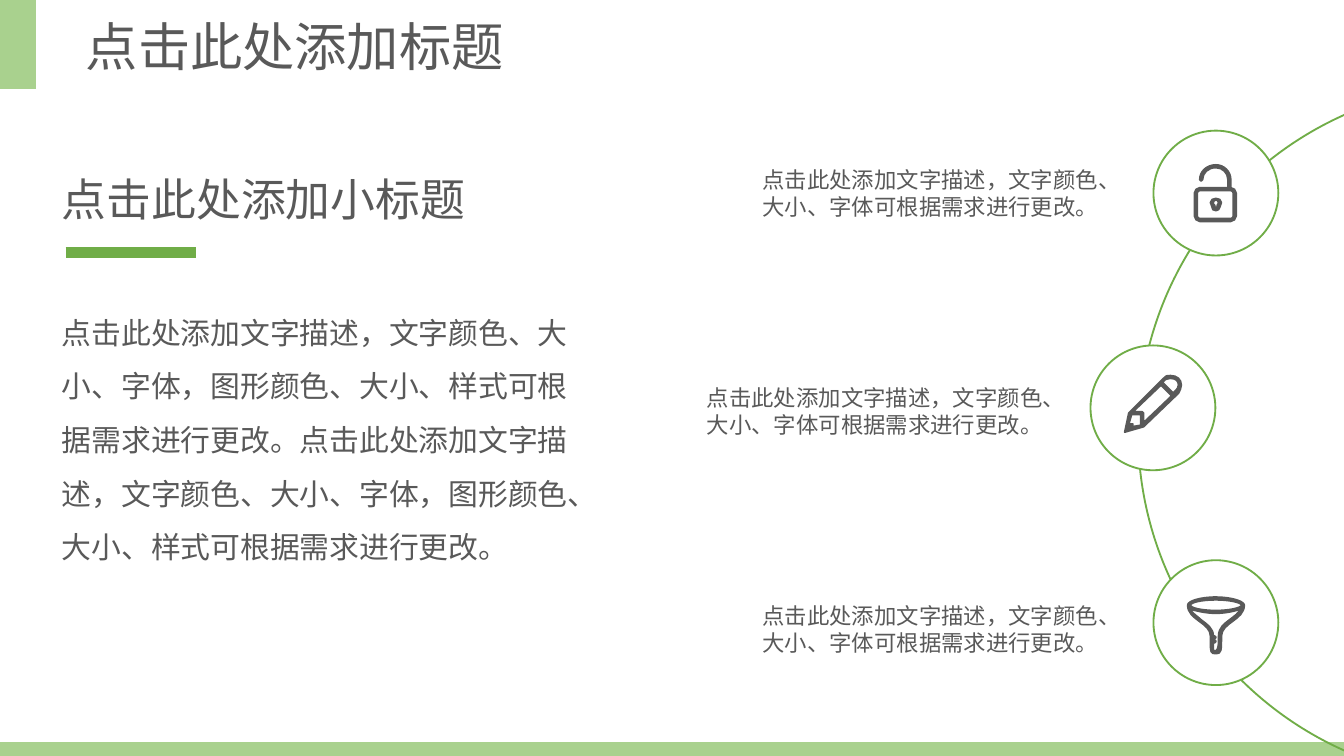
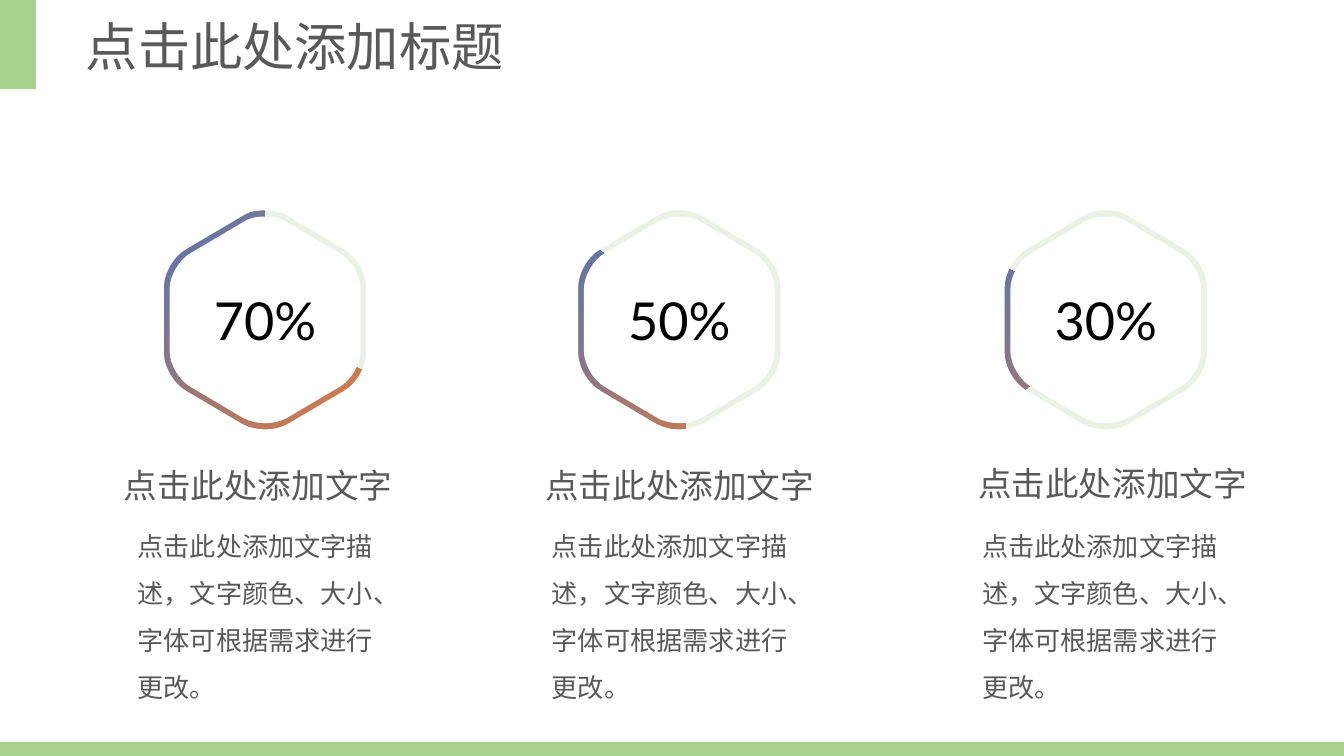
from lxml import etree
from pptx import Presentation
from pptx.dml.color import RGBColor
from pptx.enum.shapes import MSO_CONNECTOR, MSO_SHAPE
from pptx.enum.text import MSO_ANCHOR, MSO_AUTO_SIZE, PP_ALIGN
from pptx.oxml.ns import qn
from pptx.util import Cm, Pt

RECTANGLE, OVAL, PIE = MSO_SHAPE.RECTANGLE, MSO_SHAPE.OVAL, MSO_SHAPE.PIE
STRAIGHT = MSO_CONNECTOR.STRAIGHT
LEFT, CENTER = PP_ALIGN.LEFT, PP_ALIGN.CENTER
TOP, NO_AUTOFIT = MSO_ANCHOR.TOP, MSO_AUTO_SIZE.NONE

COLORS = {
    "band": "A9D18E", "green": "70AD47", "text": "595959", "white": "FFFFFF",
    "black": "000000", "blue": "4472C4", "orange": "ED7D31",
}
CJK_FONT = "Noto Sans CJK SC"
WIDTH, HEIGHT = 25.4, 14.29
TITLE_ONLY = 5
UNIT = Cm(0.0254)  # one step of the outline grids below

TITLE = "点击此处添加标题"
DESCRIPTION = "点击此处添加文字描述，文字颜色、大小、字体可根据需求进行更改。"
PARAGRAPH = "点击此处添加文字描述，文字颜色、大小、字体，图形颜色、大小、样式可根据需求进行更改。"

# Contours around a centre: a pair is a line end, six numbers are a cubic curve.
LOCK = [
    [(1, 9), (1, 10), (1, 11, 0, 11, 0, 11), (-1, 11, -1, 11, -1, 10), (-1, 9),
     (-2, 9, -2, 8, -2, 7), (-2, 6, -1, 5, 0, 5), (1, 5, 2, 6, 2, 7), (2, 8, 1, 9, 1, 9)],
    [(0, 4), (-2, 4, -4, 5, -4, 7), (-4, 8, -4, 9, -3, 10), (-3, 12, -2, 13, 0, 13),
     (1, 13, 3, 12, 3, 10), (4, 9, 4, 8, 4, 7), (4, 5, 2, 4, 0, 4)],
    [(13, 17), (13, 18, 12, 19, 11, 19), (-12, 19), (-13, 19, -14, 18, -14, 17),
     (-14, 0), (-14, -1, -13, -2, -12, -2), (11, -2), (12, -2, 13, -1, 13, 0)],
    [(11, -4), (11, -10), (11, -16, 6, -21, 0, -21), (-7, -21, -12, -16, -12, -10),
     (-12, -9, -11, -9, -11, -9), (-10, -9, -10, -9, -10, -10), (-10, -15, -6, -19, 0, -19),
     (5, -19, 9, -15, 9, -10), (9, -4), (-12, -4), (-14, -4, -16, -2, -16, 0), (-16, 17),
     (-16, 19, -14, 21, -12, 21), (11, 21), (13, 21, 15, 19, 15, 17), (15, 0),
     (15, -2, 13, -4, 11, -4)],
]
PENCIL = [
    [(17, -13), (15, -11), (7, -19), (9, -21), (9, -21, 11, -22, 13, -22),
     (17, -22, 19, -20, 19, -17), (19, -15, 18, -14, 17, -13)],
    [(-7, 11), (-7, 4), (-7, 4, -7, 3, -8, 3), (-15, 3), (6, -17), (14, -9)],
    [(-9, 13), (-15, 14), (-15, 12), (-18, 12), (-16, 5), (-9, 5)],
    [(13, -24), (11, -24, 9, -24, 8, -22), (-18, 4), (-21, 18), (-7, 14), (19, -11),
     (20, -13, 21, -15, 21, -17), (21, -21, 18, -24, 13, -24)],
]
FUNNEL = [
    [(0, -9), (-11, -9, -19, -11, -19, -13), (-19, -15, -11, -17, 0, -17),
     (10, -17, 19, -15, 19, -13), (19, -11, 10, -9, 0, -9)],
    [(10, -2), (6, 1, 2, 4, 2, 10), (2, 15, 2, 18, 1, 20), (1, 21, 1, 21, 0, 21),
     (-2, 21, -2, 21, -2, 20), (-2, 19, -2, 18, -2, 15), (-1, 15), (-1, 15, 0, 15, 0, 14),
     (0, 14, -1, 13, -1, 13), (-2, 13), (-2, 12), (-1, 12), (-1, 12, 0, 11, 0, 11),
     (0, 10, -1, 10, -1, 10), (-2, 10), (-2, 4, -7, 1, -11, -2), (-14, -5, -18, -7, -19, -10),
     (-15, -9, -8, -7, 0, -7), (8, -7, 15, -9, 18, -10), (17, -7, 14, -5, 10, -2)],
    [(0, -19), (-12, -19, -21, -16, -21, -13), (-21, -2, -4, 0, -4, 10), (-4, 14),
     (-4, 22, -4, 23, 0, 23), (4, 23, 4, 21, 4, 10), (4, 0, 21, -2, 21, -13),
     (21, -16, 11, -19, 0, -19)],
]
HEXAGON = [
    (0, -77), (6, -77, 12, -76, 16, -73), (55, -50), (64, -45, 71, -33, 71, -23),
    (71, 23), (71, 33, 64, 45, 55, 50), (16, 73), (7, 78, -7, 78, -16, 73),
    (-55, 50), (-64, 45, -71, 33, -71, 23), (-71, -23), (-71, -33, -64, -45, -55, -50),
    (-16, -73), (-12, -76, -6, -77, 0, -77),
]
RING_GROWTH = 1.06
MASK = [
    HEXAGON,
    [tuple(RING_GROWTH * number for number in step) for step in HEXAGON],
    [(-110, -110), (110, -110), (110, 110), (-110, 110)],
]


def color(name):
    return RGBColor.from_string(COLORS[name])


def paint(shape, fill=None, line=None):
    shape.shadow.inherit = False
    if fill:
        shape.fill.solid()
        shape.fill.fore_color.rgb = color(fill)
    else:
        shape.fill.background()
    if line:
        shape.line.color.rgb = color(line)
        shape.line.width = Pt(1)
    else:
        shape.line.fill.background()
    return shape


def add_preset(shapes, preset, box, fill=None, line=None):
    return paint(shapes.add_shape(preset, *map(Cm, box)), fill, line)


def bend_curves(shape, contours):
    """Join the three line ends of each curve step into one cubic segment."""
    lines = shape.element.iter(qn("a:lnTo"))
    lines = iter(list(lines))
    for contour in contours:
        for step in contour[1:]:
            segment = next(lines)
            if len(step) == 6:
                segment.tag = qn("a:cubicBezTo")
                for _ in range(2):
                    control = next(lines)
                    segment.append(control[0])
                    control.getparent().remove(control)


def add_outline(shapes, contours, center_x, center_y, fill, line=None):
    builder = None
    for contour in contours:
        points = [(step[i] * UNIT, step[i + 1] * UNIT)
                  for step in contour for i in range(0, len(step), 2)]
        if builder is None:
            builder = shapes.build_freeform(*points[0], scale=1.0)
        else:
            builder.move_to(*points[0])
        builder.add_line_segments(points[1:], close=True)
    shape = builder.convert_to_shape(Cm(center_x), Cm(center_y))
    bend_curves(shape, contours)
    paint(shape, fill, line)


def write(shape, text, size, font, ink="text", align=LEFT, spacing=1.0):
    frame = shape.text_frame
    frame.word_wrap = True
    frame.auto_size = NO_AUTOFIT
    frame.vertical_anchor = TOP
    frame.text = text
    paragraph = frame.paragraphs[0]
    paragraph.alignment = align
    paragraph.line_spacing = spacing
    paragraph.font.size = Pt(size)
    paragraph.font.name = font
    paragraph.font.color.rgb = color(ink)
    etree.SubElement(paragraph.font._element, qn("a:ea"), typeface=CJK_FONT)


def add_text(slide, box, text, size, font="Calibri", **style):
    write(slide.shapes.add_textbox(*map(Cm, box)), text, size, font, **style)


def move_bands_to_layout(slide):
    """Draw the corner block and bottom band, then hand them to the slide's layout."""
    layout_tree = slide.slide_layout.shapes.element
    for box in ((0, 0, 0.68, 1.68), (0, 14.03, WIDTH, 0.26)):
        layout_tree.append(add_preset(slide.shapes, RECTANGLE, box, "band").element)


def add_titled_slide(presentation):
    slide = presentation.slides.add_slide(presentation.slide_layouts[TITLE_ONLY])
    title = slide.shapes.title
    title.left, title.top, title.width, title.height = map(Cm, (1.37, 0.15, 11.96, 1.45))
    write(title, TITLE, 28, CJK_FONT)
    return slide


def add_introduction(slide, left, top):
    add_text(slide, (left, top, 8.36, 1.27), "点击此处添加小标题", 24, "Arial")
    rule_left, rule_top = Cm(left + 0.32), Cm(top + 1.66)
    rule = slide.shapes.add_connector(
        STRAIGHT, rule_left, rule_top, rule_left + Cm(2.47), rule_top)
    rule.line.color.rgb = color("green")
    rule.line.width = Pt(6)
    etree.SubElement(rule.element.spPr, qn("a:effectLst"))
    add_text(slide, (left, top + 2.36, 10.41, 5.38), PARAGRAPH * 2, 16, spacing=1.5)


def add_icon_disc(slide, left, top, icon):
    size = 2.36
    shapes = slide.shapes.add_group_shape().shapes
    add_preset(shapes, OVAL, (left, top, size, size), "white", "green")
    add_outline(shapes, icon, left + size / 2, top + size / 2, "text", "text")


def add_icon_arc(slide):
    add_preset(slide.shapes, OVAL, (21.51, 1.6, 13.16, 13.16), line="green")
    items = [
        (LOCK, 21.8, 14.16, 7.49),
        (PENCIL, 20.61, 13.11, 7.04),
        (FUNNEL, 21.8, 14.16, 7.49),
    ]
    for row, (icon, disc_left, text_left, text_width) in enumerate(items):
        add_icon_disc(slide, disc_left, 2.47 + 4.06 * row, icon)
        add_text(slide, (text_left, 3.02 + 4.12 * row, text_width, 1.27), DESCRIPTION, 12)


def add_dial(slide, left, top, label, start, end):
    """Show a pie between two angles through a hexagonal ring cut in a white mask."""
    shapes = slide.shapes.add_group_shape().shapes
    disc = add_preset(shapes, OVAL, (left + 0.15, top + 0.13, 5.23, 5.23), "green")
    tint = disc.element.spPr.find(qn("a:solidFill"))[0]
    etree.SubElement(tint, qn("a:alpha"), val="15000")

    pie = add_preset(shapes, PIE, (left + 0.33, top + 0.28, 4.88, 4.88))
    for index, degrees in enumerate((start, end)):
        pie.adjustments[index] = degrees * 0.6
    pie.fill.gradient()
    pie.fill.gradient_angle = 315
    for stop, name in zip(pie.fill.gradient_stops, ("blue", "orange")):
        stop.color.rgb = color(name)

    add_outline(shapes, MASK, left + 2.78, top + 2.79, "white")
    add_text(slide, (left + 1.22, top + 2.2, 3.12, 1.35), label, 28, "Lato",
             ink="black", align=CENTER, spacing=0.9)


def build_icon_slide(presentation):
    slide = add_titled_slide(presentation)
    move_bands_to_layout(slide)
    add_icon_arc(slide)
    add_introduction(slide, 0.92, 3.12)


def build_dial_slide(presentation):
    slide = add_titled_slide(presentation)
    columns = [
        ("70%", 29.1, 270, 2.23, 1.38, 8.28, 2.35),
        ("50%", 86.66, 219.98, 10.06, 9.35, 8.28, 10.18),
        ("30%", 137.48, 206.15, 18.12, 17.53, 8.25, 18.31),
    ]
    for label, start, end, dial_left, heading_left, heading_top, body_left in columns:
        add_dial(slide, dial_left, 3.26, label, start, end)
        add_text(slide, (heading_left, heading_top, 6.99, 1.3), "点击此处添加文字", 18,
                 align=CENTER, spacing=1.5)
        add_text(slide, (body_left, 9.6, 5.41, 3.84), DESCRIPTION, 14, spacing=1.5)


def main():
    presentation = Presentation()
    presentation.slide_width, presentation.slide_height = Cm(WIDTH), Cm(HEIGHT)
    build_icon_slide(presentation)
    build_dial_slide(presentation)
    presentation.save("out.pptx")


if __name__ == "__main__":
    main()
